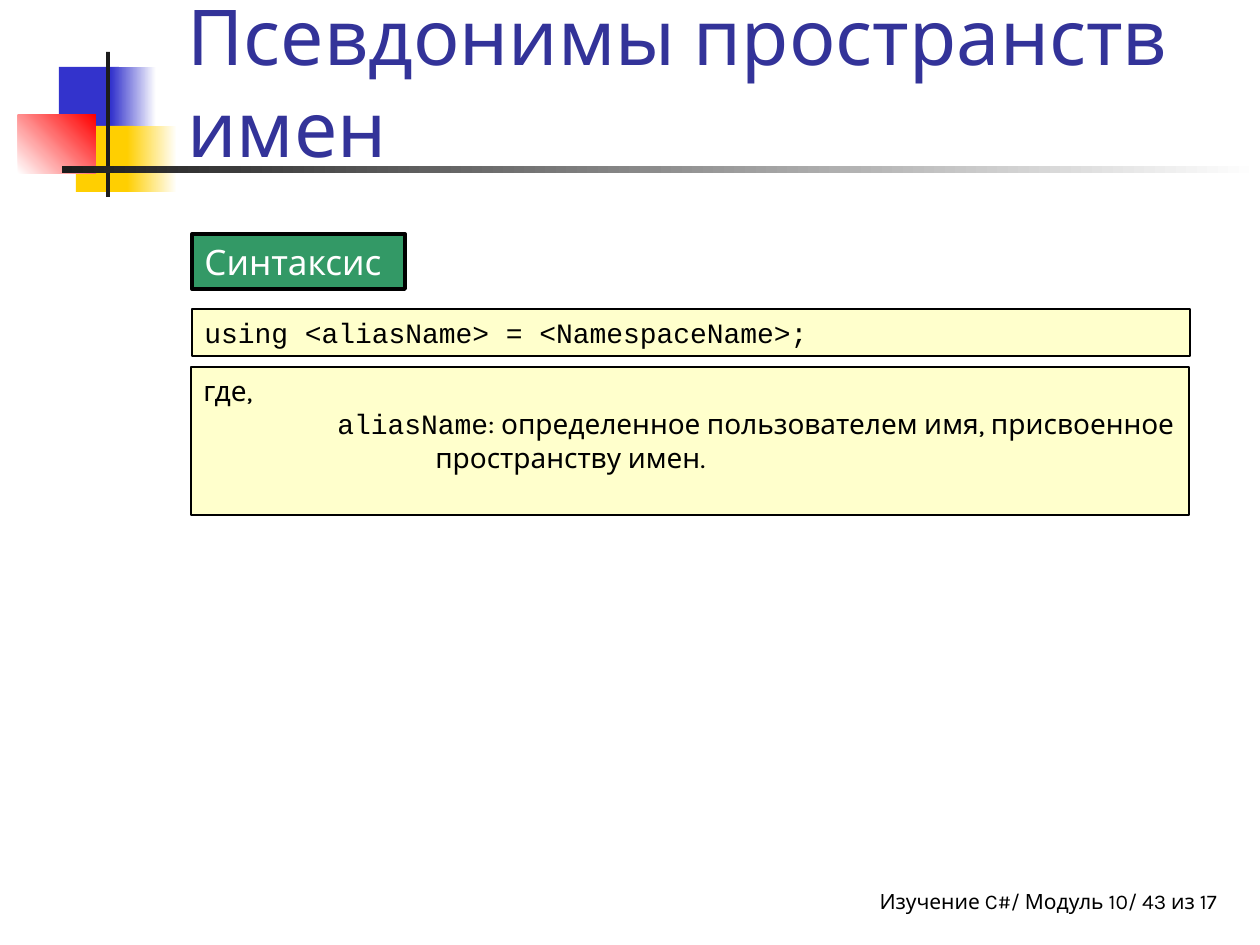
from pptx import Presentation
from pptx import util as u
from pptx.dml.color import RGBColor
from pptx.enum import shapes, text

SCALE = 914400 / 126  # EMU per px

BLACK = RGBColor(0x00, 0x00, 0x00)
WHITE = RGBColor(0xFF, 0xFF, 0xFF)
CHARCOAL = RGBColor(0x1C, 0x1C, 0x1C)
BLUE = RGBColor(0x33, 0x33, 0xCC)
NAVY = RGBColor(0x33, 0x33, 0x99)
YELLOW = RGBColor(0xFF, 0xCF, 0x01)
RED = RGBColor(0xFF, 0x00, 0x00)
GREEN = RGBColor(0x33, 0x99, 0x66)
CREAM = RGBColor(0xFF, 0xFF, 0xCC)

BODY = "Karla"
CODE = "Courier New"


def px(n):
    return u.Emu(round(n * SCALE))


class SlideBuilder:
    def __init__(self, slide):
        self.slide = slide

    def rect(self, box, *colors, angle=0):
        """Plain rectangle; two colours make a gradient."""
        sp = self.slide.shapes.add_shape(
            shapes.MSO_SHAPE.RECTANGLE, *map(px, box))
        sp.shadow.inherit = False
        sp.line.fill.background()
        if len(colors) == 1:
            sp.fill.solid()
            sp.fill.fore_color.rgb = colors[0]
        else:
            sp.fill.gradient()
            sp.fill.gradient_angle = angle
            for stop, color in zip(sp.fill.gradient_stops, colors):
                stop.color.rgb = color
        return sp

    def set_text(self, sp, lines, size, color, anchor=text.MSO_ANCHOR.TOP,
                 align=text.PP_ALIGN.LEFT):
        """Each line is (left margin in px, [(words, font), ...])."""
        tf = sp.text_frame
        tf.word_wrap = True
        tf.vertical_anchor = anchor
        for i, (margin, runs) in enumerate(lines):
            p = tf.add_paragraph() if i else tf.paragraphs[0]
            p.alignment = align
            if margin:
                pPr = p._p.get_or_add_pPr()
                pPr.set("marL", str(px(margin)))
                pPr.set("indent", "0")
            for words, font in runs:
                r = p.add_run()
                r.text = words
                r.font.name = font
                r.font.size = u.Pt(size)
                r.font.color.rgb = color
        return tf

    def label(self, box, words, size, color, **layout):
        sp = self.slide.shapes.add_textbox(*map(px, box))
        return self.set_text(sp, [(0, [(words, BODY)])], size, color, **layout)

    def panel(self, box, fill, border, lines, size, color):
        sp = self.rect(box, fill)
        sp.line.color.rgb = BLACK
        sp.line.width = u.Pt(border)
        return self.set_text(sp, lines, size, color)


def main():
    prs = Presentation()
    prs.slide_width, prs.slide_height = px(1260), px(945)
    s = SlideBuilder(prs.slides.add_slide(prs.slide_layouts[6]))

    # Footer
    tf = s.label((577, 882, 640, 42), "Изучение C#/ Модуль 10/ 43 из 17",
                 12, BLACK, align=text.PP_ALIGN.RIGHT)
    tf.margin_right = 0

    # Corner ornament and rule under the title
    s.rect((59, 67, 60, 66), BLUE)
    s.rect((111, 67, 45, 66), BLUE, WHITE)
    s.rect((76, 126, 58, 66), YELLOW)
    s.rect((127, 126, 50, 66), YELLOW, WHITE)
    s.rect((18, 115, 78, 59), WHITE, RED, angle=45)
    s.rect((106, 52, 4, 145), CHARCOAL)
    s.rect((62, 166, 1198, 7), CHARCOAL, WHITE)

    # Title
    s.label((175, 21, 1074, 158), "Псевдонимы пространств имен", 44, NAVY,
            anchor=text.MSO_ANCHOR.BOTTOM)

    # Syntax and its explanation
    s.panel((192, 309, 998, 47), CREAM, 0.75,
            [(0, [("using <aliasName> = <NamespaceName>;", CODE)])],
            16, BLACK)
    s.panel((191, 367, 998, 148), CREAM, 0.75, [
        (0, [("где,", BODY)]),
        (134, [("aliasName", CODE),
               (": определенное пользователем имя, присвоенное", BODY)]),
        (232, [("пространству имен.", BODY)]),
    ], 16, BLACK)
    s.panel((192, 234, 213, 55), GREEN, 2.25,
            [(0, [("Синтаксис", BODY)])], 20, WHITE)

    prs.save("out.pptx")


if __name__ == "__main__":
    main()
